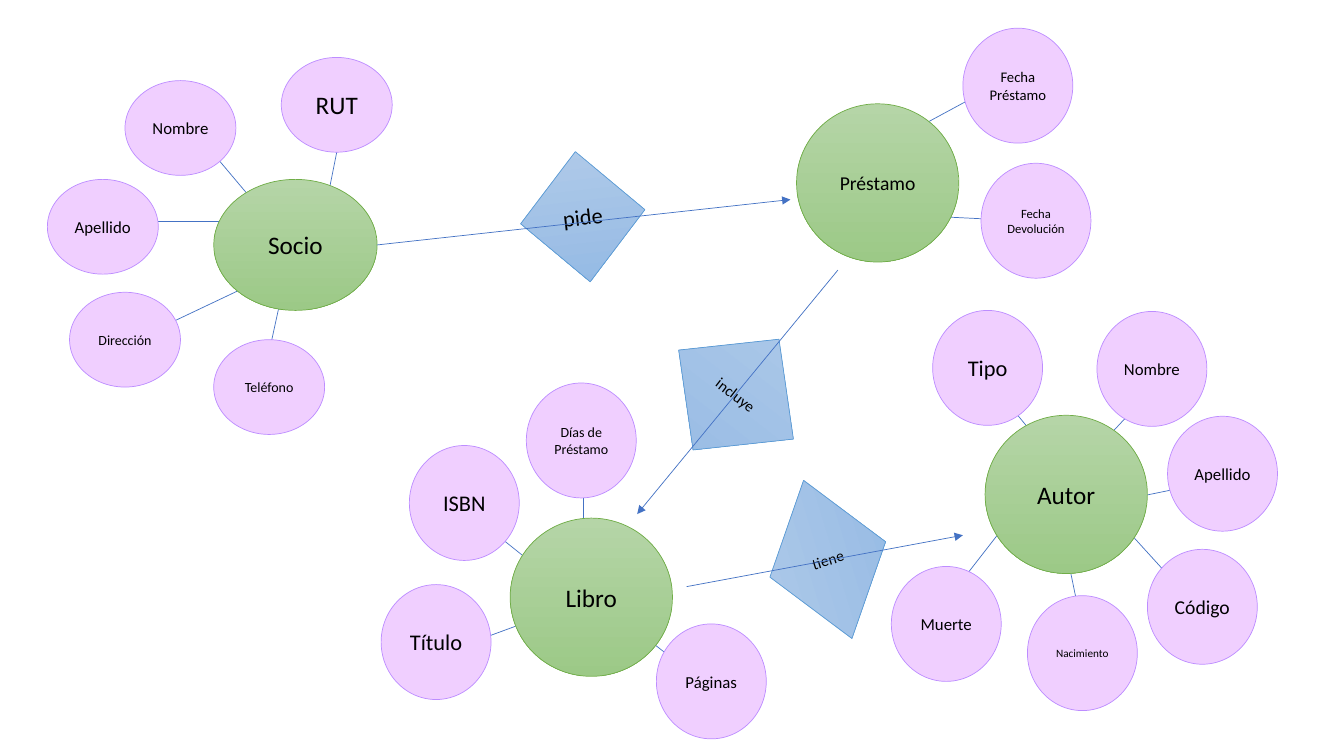
from lxml import etree
from pptx import Presentation
from pptx.dml.color import RGBColor
from pptx.enum import shapes, text
from pptx.oxml import ns
from pptx.util import Inches, Pt

prs = Presentation()
prs.slide_width, prs.slide_height = Inches(13.33), Inches(7.5)
slide = prs.slides.add_slide(prs.slide_layouts[6])
rgb = RGBColor.from_string
OVAL, RHOMB = shapes.MSO_SHAPE.OVAL, shapes.MSO_SHAPE.DIAMOND


def node(kind, label, size, box, fills, edge):
    """Add a labelled shape; two fills make a top-down gradient."""
    shp = slide.shapes.add_shape(kind, *map(Inches, box))
    shp.shadow.inherit = False
    if len(fills) == 1:
        shp.fill.solid()
        shp.fill.fore_color.rgb = rgb(fills[0])
    else:
        shp.fill.gradient()
        shp.fill.gradient_angle = 270
        for stop, tint in zip(shp.fill.gradient_stops, fills):
            stop.color.rgb = rgb(tint)
    shp.line.color.rgb = rgb(edge)
    shp.line.width = Pt(0.5)
    frame = shp.text_frame
    frame.text = label
    frame.word_wrap = True
    frame.vertical_anchor = text.MSO_ANCHOR.MIDDLE
    para = frame.paragraphs[0]
    para.alignment = text.PP_ALIGN.CENTER
    font = para.runs[0].font
    font.name, font.size = "Calibri", Pt(size)
    font.color.rgb = rgb("000000")
    return shp


def link(ends, arrow=False):
    """Add a thin straight line, with an arrowhead at its end if asked."""
    line = slide.shapes.add_connector(
        shapes.MSO_CONNECTOR.STRAIGHT, *map(Inches, ends))
    line.line.color.rgb = rgb("4472C4")
    line.line.width = Pt(0.5)
    if arrow:
        etree.SubElement(line.line._get_or_add_ln(), ns.qn("a:tailEnd"), type="triangle")
    etree.SubElement(line.element.spPr, ns.qn("a:effectLst"))


# Entities: name, text size, box, attribute size,
# attributes as (name, text size, left, top, link ends)
ents = [
    ("Socio", 18, (2.12, 1.78, 1.62, 1.3), (1.1, 0.94), [
        ("Apellido", 12, 0.47, 1.78, (1.43, 2.2, 2.67, 2.2)),
        ("Nombre", 12, 1.24, 0.8, (2.18, 1.6, 2.5, 1.98)),
        ("RUT", 18, 2.79, 0.57, (3.34, 1.51, 3.27, 1.86)),
        ("Dirección", 10, 0.69, 2.9, (1.57, 3.26, 2.35, 2.89)),
        ("Teléfono", 10, 2.12, 3.37, (2.79, 2.94, 2.67, 3.49))]),
    ("Préstamo", 14, (7.9, 1.03, 1.61, 1.57), (1.09, 1.14), [
        ("Fecha Préstamo", 10.5, 9.55, 0.28, (9.02, 1.31, 9.63, 0.98)),
        ("Fecha Devolución", 9, 9.73, 1.62, (9.33, 2.15, 9.93, 2.18))]),
    ("Libro", 18, (5.06, 5.14, 1.61, 1.57), (1.09, 1.14), [
        ("Título", 16, 3.78, 5.8, (4.74, 6.35, 5.23, 6.17)),
        ("ISBN", 16, 4.06, 4.42, (4.87, 5.26, 5.32, 5.62)),
        ("Días de Préstamo", 10, 5.22, 3.8, (5.79, 4.83, 5.79, 5.15)),
        ("Páginas", 12, 6.51, 6.19, (6.32, 6.26, 6.73, 6.58))]),
    ("Autor", 18, (9.77, 4.12, 1.61, 1.57), (1.09, 1.14), [
        ("Tipo", 16, 9.25, 3.08, (9.93, 3.92, 10.34, 4.42)),
        ("Nombre", 12, 10.88, 3.09, (11.29, 4.01, 10.88, 4.45)),
        ("Apellido", 12, 11.58, 4.13, (11.38, 4.91, 11.77, 4.83)),
        ("Código", 14, 11.38, 5.45, (11.08, 5.15, 11.58, 5.7)),
        ("Nacimiento", 8, 10.19, 5.91, (10.57, 5.44, 10.72, 6.17)),
        ("Muerte", 12, 8.84, 5.62, (9.51, 5.8, 9.93, 5.26))]),
]

# Relations: name, text size, box, rotation, arrow ends
rels = [
    ("pide", 16, (5.16, 1.5, 1.24, 1.3), 353.5, (3.74, 2.43, 7.84, 1.98)),
    ("incluye", 11, (6.58, 3.22, 1.44, 1.39), 37.8, (8.31, 2.68, 6.32, 5.1)),
    ("tiene", 11, (7.39, 4.95, 1.64, 1.2), 253, (6.81, 5.82, 9.55, 5.31)),
]

# Attribute links lie behind every shape
for ent in ents:
    for attr in ent[4]:
        link(attr[4])

# Entities with their attributes
for name, size, box, dims, attrs in ents:
    node(OVAL, name, size, box, ("B5D5A7", "9CC987"), "70AD47")
    for label, pts, left, top, _ in attrs:
        node(OVAL, label, pts, (left, top, *dims), ("F0CFFF",), "BD8DFF")

# Relations, each crossed by its arrow
for name, size, box, turn, ends in rels:
    gem = node(RHOMB, name, size, box, ("B1CBE9", "93B9E4"), "5B9BD5")
    gem.rotation = turn
    if name == "tiene":
        gem.element.txBody.bodyPr.set("vert", "vert")
    link(ends, arrow=True)

prs.save("out.pptx")
